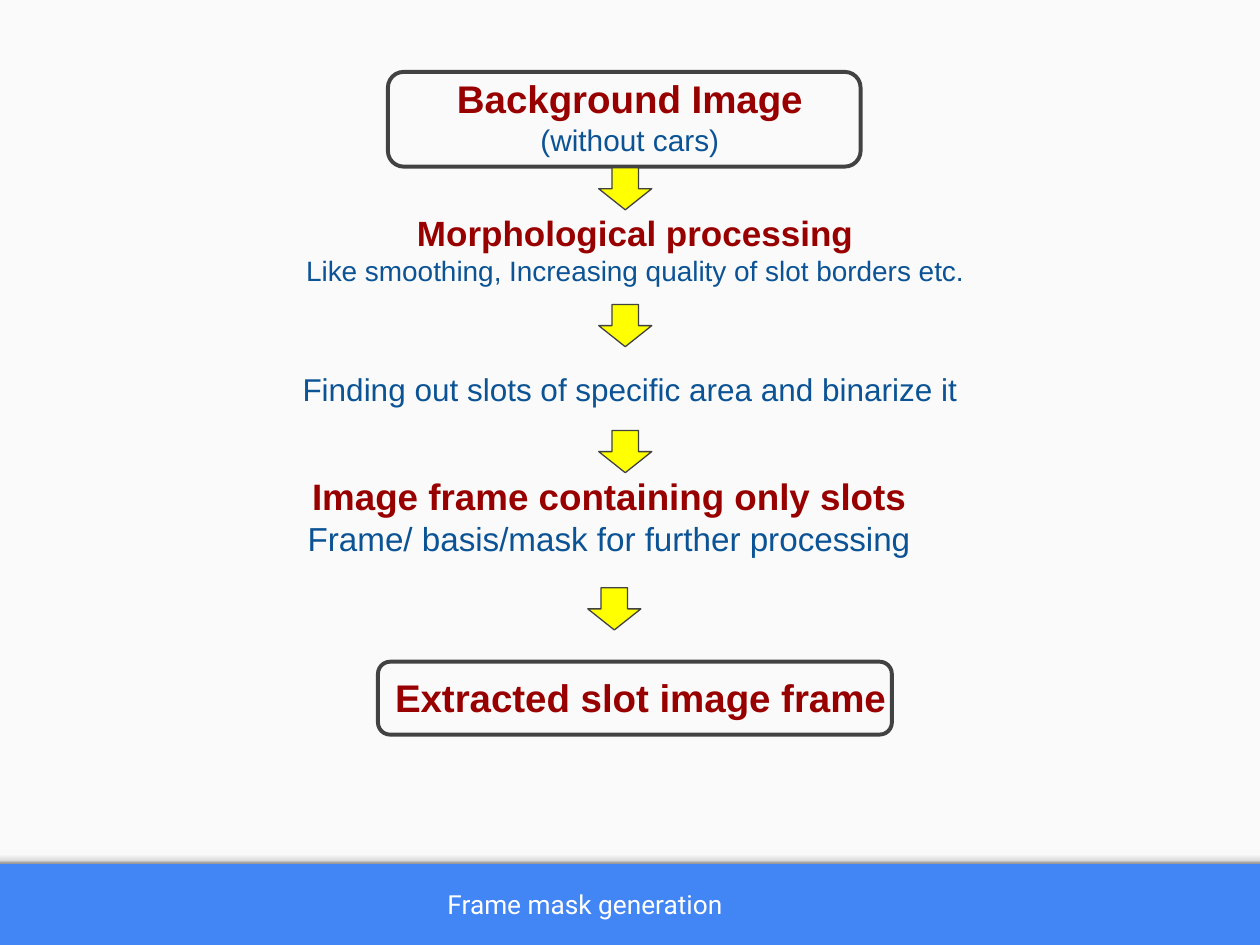
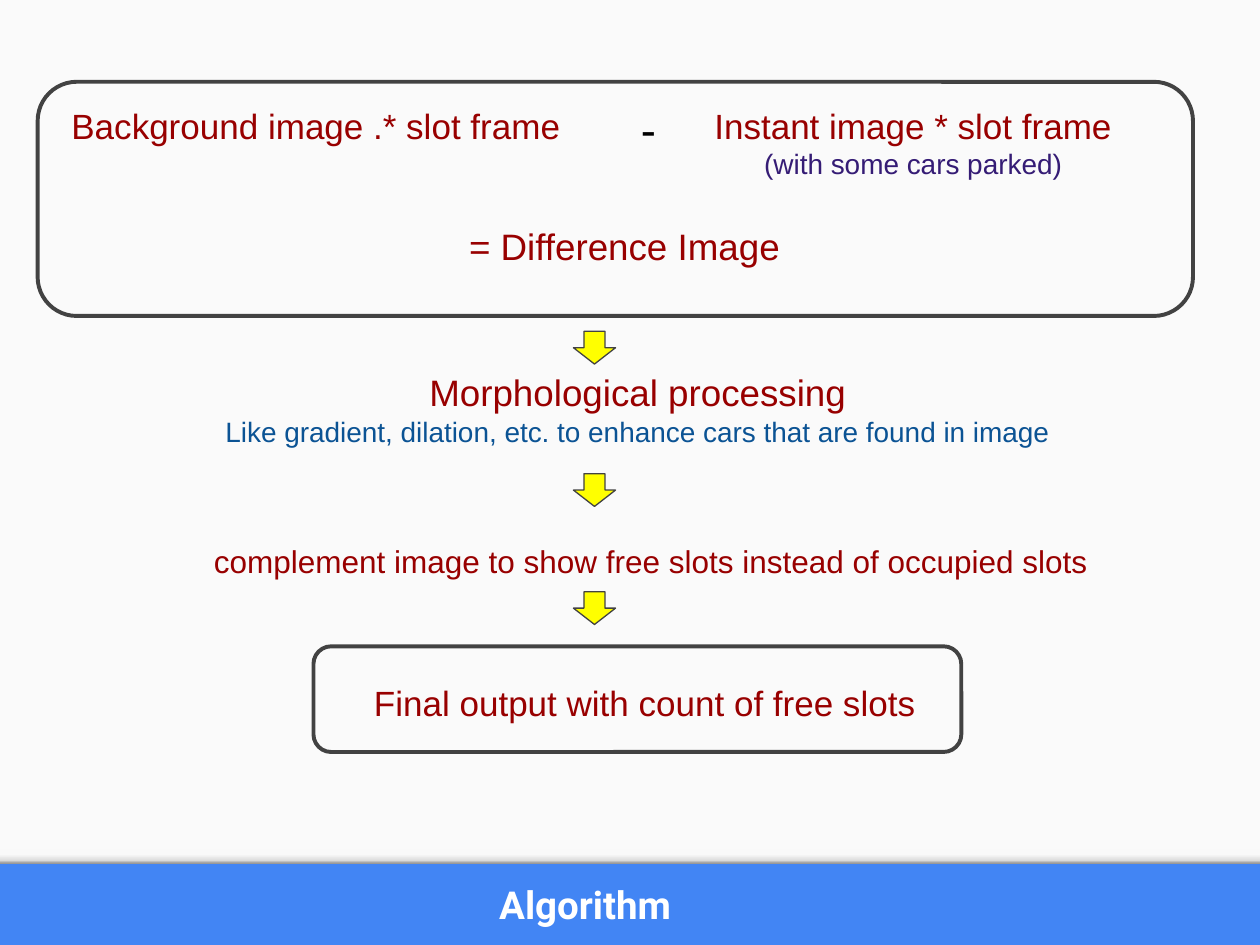
from lxml import etree
from pptx import Presentation
from pptx.dml.color import RGBColor
from pptx.enum.shapes import MSO_SHAPE as Preset
from pptx.enum.text import MSO_ANCHOR as Anchor, PP_ALIGN as Align
from pptx.oxml.ns import qn
from pptx.util import Cm, Pt

COLORS = {
    "blue": "4285F4", "paper": "FAFAFA", "outline": "424242", "arrow": "FFFF00",
    "red": "980000", "navy": "0B5394", "violet": "351C75",
    "black": "000000", "white": "FFFFFF",
}
EDGE_STOPS = [(0, "F9F9F9"), (36, "F9F9F9"), (80, "DEDEDE"), (100, "999999")]


def add_shape(slide, preset, box, fill=None, line_width=None):
    shape = slide.shapes.add_shape(preset, *map(Cm, box))
    shape.shadow.inherit = False
    if fill:
        shape.fill.solid()
        shape.fill.fore_color.rgb = RGBColor.from_string(COLORS[fill])
    else:
        shape.fill.background()
    if line_width:
        shape.line.color.rgb = RGBColor.from_string(COLORS["outline"])
        shape.line.width = Pt(line_width)
    else:
        shape.line.fill.background()
    return shape


def add_text(slide, box, lines, align=Align.CENTER, font="Arial", anchor=Anchor.TOP):
    """Add a text box; each line is (text, size, colour, bold)."""
    text_frame = slide.shapes.add_textbox(*map(Cm, box)).text_frame
    text_frame.word_wrap = True
    text_frame.vertical_anchor = anchor
    text_frame.margin_left = text_frame.margin_right = Cm(0.25)
    text_frame.margin_top = text_frame.margin_bottom = Cm(0.25)
    text_frame.text = "\n".join(line[0] for line in lines)
    for paragraph, (_, size, color, bold) in zip(text_frame.paragraphs, lines):
        paragraph.alignment = align
        run_font = paragraph.runs[0].font
        run_font.name, run_font.size, run_font.bold = font, Pt(size), bold
        run_font.color.rgb = RGBColor.from_string(COLORS[color])


# Boxes are (left, top, width, height) in centimetres
slides = [
    {
        "footer": ("Frame mask generation", 15, "white", False),
        "frames": [(7.62, 13.34, 10.36, 1.47), (7.82, 1.45, 9.53, 1.91)],
        "arrow_size": (1.07, 0.85),
        "arrows": [(12.07, 3.38), (12.07, 6.14), (12.07, 8.68), (11.85, 11.85)],
        "steps": [
            ((3.81, 1.27, 17.78, 1.91), Align.CENTER,
             [("Background Image", 22, "red", True),
              ("(without cars)", 17, "navy", False)]),
            ((3.18, 4.02, 19.25, 1.91), Align.CENTER,
             [("Morphological processing", 20, "red", True),
              ("Like smoothing, Increasing quality of slot borders etc.", 16, "navy", False)]),
            ((2.12, 7.2, 21.16, 1.47), Align.CENTER,
             [("Finding out slots of specific area and binarize it", 18, "navy", False)]),
            ((3.18, 9.31, 18.2, 2.74), Align.CENTER,
             [("Image frame containing only slots", 21, "red", True),
              ("Frame/ basis/mask for further processing", 19, "navy", False)]),
            ((7.62, 13.34, 10.59, 2.11), Align.CENTER,
             [("Extracted slot image frame", 22, "red", True)]),
        ],
    },
    {
        "footer": ("Algorithm", 22, "white", True),
        "frames": [(6.32, 13.03, 13.06, 2.13), (0.76, 1.65, 23.29, 4.72)],
        "arrow_size": (0.85, 0.66),
        "arrows": [(11.56, 6.68), (11.56, 9.55), (11.56, 11.93)],
        "steps": [
            ((13.84, 1.85, 9.14, 1.96), Align.CENTER,
             [("Instant image * slot frame", 20, "red", False),
              ("(with some cars parked)", 16, "violet", False)]),
            ((3, 7.21, 19.71, 1.91), Align.CENTER,
             [("Morphological processing", 21, "red", False),
              ("Like gradient, dilation, etc. to enhance cars that are found in image",
               16, "navy", False)]),
            ((1.19, 1.85, 10.85, 1.91), Align.LEFT,
             [("Background image .* slot frame", 20, "red", False)]),
            ((12.67, 1.78, 1.14, 1.47), Align.LEFT, [("-", 26, "black", False)]),
            ((3, 4.27, 19.18, 1.47), Align.CENTER,
             [("= Difference Image", 21, "red", False)]),
            ((3.53, 10.67, 19.18, 2.31), Align.CENTER,
             [("complement image to show free slots instead of occupied slots",
               18, "red", False)]),
            ((7.29, 13.49, 11.86, 2.39), Align.LEFT,
             [("Final output with count of free slots", 20, "red", False)]),
        ],
    },
]

presentation = Presentation()
presentation.slide_width, presentation.slide_height = Cm(25.4), Cm(19.05)

for content in slides:
    slide = presentation.slides.add_slide(presentation.slide_layouts[6])
    slide.background.fill.solid()
    slide.background.fill.fore_color.rgb = RGBColor.from_string(COLORS["blue"])
    add_shape(slide, Preset.RECTANGLE, (0, 0, 25.4, 17.4), fill="paper")

    edge = add_shape(slide, Preset.RECTANGLE, (0, 17.12, 25.4, 0.28))
    edge.fill.gradient()
    edge.fill.gradient_angle = 270
    stop_list = next(edge.element.iter(qn("a:gsLst")))
    for stop in list(stop_list):
        stop_list.remove(stop)
    for position, color in EDGE_STOPS:
        stop = etree.SubElement(stop_list, qn("a:gs"), pos=str(position * 1000))
        etree.SubElement(stop, qn("a:srgbClr"), val=color)

    add_text(slide, (0.15, 17.4, 23.29, 1.65), [content["footer"]],
             font="Roboto", anchor=Anchor.MIDDLE)
    for frame in content["frames"]:
        add_shape(slide, Preset.ROUNDED_RECTANGLE, frame, line_width=2.25)
    for box, align, lines in content["steps"]:
        add_text(slide, box, lines, align)
    for corner in content["arrows"]:
        add_shape(slide, Preset.DOWN_ARROW, corner + content["arrow_size"],
                  fill="arrow", line_width=0.75)

presentation.save("out.pptx")
